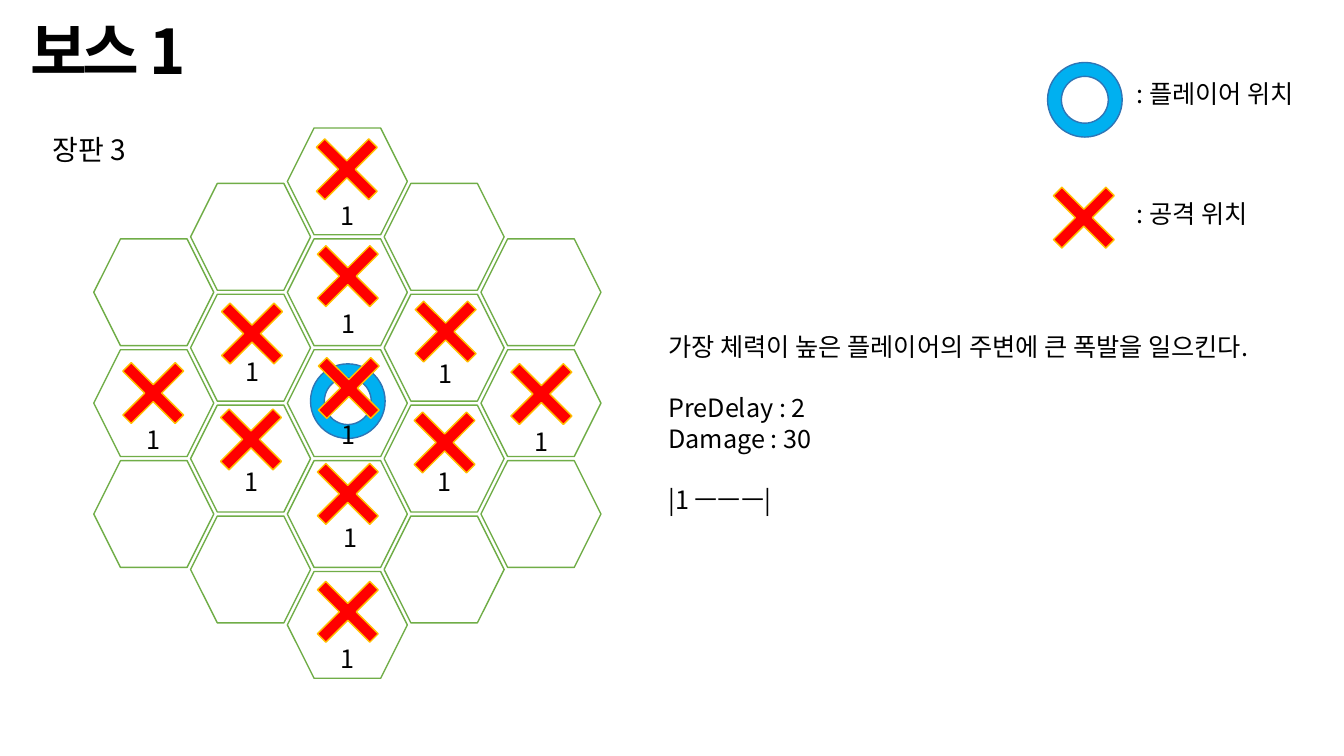
from pptx import Presentation
from pptx.dml.color import RGBColor
from pptx.enum.shapes import MSO_SHAPE
from pptx.enum.text import MSO_ANCHOR, PP_ALIGN
from pptx.oxml.ns import qn
from pptx.util import Inches, Pt
from lxml.etree import SubElement

FONT = "Noto Sans CJK KR"
ATTACKS = [
    (1.99, 3.86, 2.32, 4.58), (2.95, 2.24, 3.29, 3.01),
    (3.91, 3.89, 4.24, 4.58), (2.95, 4.4, 3.31, 5.13),
    (3.92, 2.79, 4.25, 3.51), (2, 2.81, 2.33, 3.49),
    (2.96, 3.35, 3.29, 4.11), (2.94, 1.18, 3.28, 1.94),
    (4.87, 3.41, 5.2, 4.18), (2.95, 5.57, 3.28, 6.33),
    (1.02, 3.4, 1.35, 4.16),
]
DESCRIPTION = [
    ("가장 체력이 높은 플레이어의 주변에 큰 폭발을 일으킨다.", 0),
    ("PreDelay : 2", 22),
    ("Damage : 30", 0),
    ("|1 ㅡㅡㅡ|", 22),
]


def color(value):
    """Turn a hex string into a colour."""
    return RGBColor.from_string(value)


def add_run(p, text, size=18, bold=False, spacing=None):
    """Add a formatted run to a paragraph."""
    r = p.add_run()
    r.text = text
    r.font.name = FONT
    r.font.size = Pt(size)
    r.font.bold = bold
    r.font.color.rgb = color("000000")
    rpr = r.font._element
    SubElement(rpr, qn("a:ea"), typeface=FONT)
    if spacing is not None:
        rpr.set("spc", str(int(spacing * 100)))


def add_text(s, lines, x, y, w, h, align=PP_ALIGN.LEFT, anchor=MSO_ANCHOR.TOP,
             wrap=False, line_spacing=None, **font):
    """Add a text box from one string or a list of (text, space before) lines."""
    tf = s.shapes.add_textbox(Inches(x), Inches(y), Inches(w), Inches(h)).text_frame
    tf.word_wrap = wrap
    tf.vertical_anchor = anchor
    lines = [(lines, 0)] if isinstance(lines, str) else lines
    for i, (text, before) in enumerate(lines):
        p = tf.add_paragraph() if i else tf.paragraphs[0]
        p.alignment = align
        p.space_before = Pt(before)
        if line_spacing:
            p.line_spacing = line_spacing
        add_run(p, text, **font)


def add_figure(s, kind, x, y, w, h, fill, line, adjust=None):
    """Add a filled and outlined preset shape."""
    sp = s.shapes.add_shape(kind, Inches(x), Inches(y), Inches(w), Inches(h))
    sp.shadow.inherit = False
    sp.fill.solid()
    sp.fill.fore_color.rgb = color(fill)
    sp.line.color.rgb = color(line)
    sp.line.width = Pt(1)
    if adjust is not None:
        sp.adjustments[0] = adjust


def add_player(s, x, y):
    """Add the ring that marks a player."""
    add_figure(s, MSO_SHAPE.DONUT, x, y, 0.74, 0.74, "00B0F0", "2E75B6", 0.186)


def add_attack(s, x, y):
    """Add the cross that marks an attack."""
    add_figure(s, MSO_SHAPE.MATH_MULTIPLY, x, y, 1, 1, "FF0000", "FFC000", 0.119)


def add_board(s):
    """Add five columns of hexagons, the tallest in the middle."""
    for column in range(-2, 3):
        offset = abs(column)
        for row in range(5 - offset):
            add_figure(s, MSO_SHAPE.HEXAGON, 2.85 + 0.96 * column,
                       1.27 + 0.55 * offset + 1.1 * row, 1.19, 1.06,
                       "FFFFFF", "70AD47")


def add_legend(s):
    """Add the two marks with their meanings."""
    add_player(s, 10.39, 0.62)
    add_text(s, " : 플레이어 위치", 11.12, 0.73, 2.04, 0.4)
    add_attack(s, 10.25, 1.66)
    add_text(s, " : 공격 위치", 11.12, 1.92, 1.54, 0.4)


def main():
    """Build the boss pattern slide."""
    prs = Presentation()
    prs.slide_width, prs.slide_height = Inches(13.33), Inches(7.5)
    s = prs.slides.add_slide(prs.slide_layouts[6])
    add_text(s, "보스 1", 0.2, -0.18, 11.5, 1.45, anchor=MSO_ANCHOR.MIDDLE,
             wrap=True, line_spacing=0.9, size=44, bold=True, spacing=-3)
    add_text(s, "장판 3", 0.42, 1.27, 1.02, 0.44, size=20)
    add_board(s)
    add_player(s, 3.08, 3.61)
    for x, y, label_x, label_y in ATTACKS:
        add_attack(s, x, y)
        add_text(s, "1", label_x, label_y, 0.34, 0.4, align=PP_ALIGN.CENTER)
    add_legend(s)
    add_text(s, DESCRIPTION, 6.53, 3.24, 6.63, 1.92)
    prs.save("out.pptx")


main()
